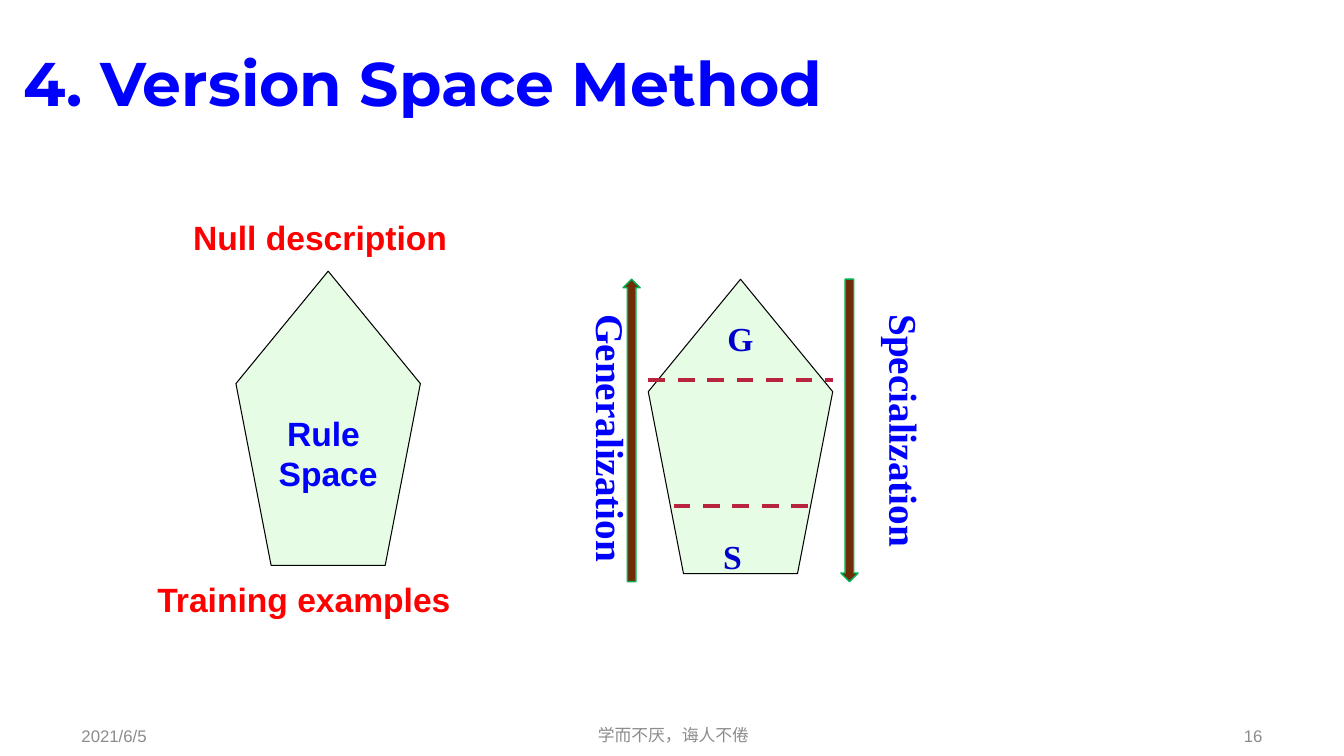
from dataclasses import dataclass

from lxml import etree
from pptx import Presentation
from pptx.dml.color import RGBColor
from pptx.enum.dml import MSO_LINE
from pptx.enum.shapes import MSO_CONNECTOR, MSO_SHAPE
from pptx.enum.text import MSO_ANCHOR, MSO_AUTO_SIZE, PP_ALIGN
from pptx.oxml.ns import qn
from pptx.util import Inches, Pt

LEFT, CENTER, RIGHT = PP_ALIGN.LEFT, PP_ALIGN.CENTER, PP_ALIGN.RIGHT
TOP, MIDDLE = MSO_ANCHOR.TOP, MSO_ANCHOR.MIDDLE
NO_FIT = MSO_AUTO_SIZE.NONE
PENTAGON = MSO_SHAPE.REGULAR_PENTAGON
UP_ARROW, DOWN_ARROW = MSO_SHAPE.UP_ARROW, MSO_SHAPE.DOWN_ARROW
DASH, STRAIGHT = MSO_LINE.DASH, MSO_CONNECTOR.STRAIGHT
TITLE_ONLY = 5


@dataclass(frozen=True)
class Theme:
    title_font: str = "Montserrat"
    sans: str = "Arial"
    serif: str = "Times New Roman"
    blue: str = "0000FF"
    navy: str = "0000CC"
    red: str = "FF0000"
    grey: str = "8C8C8C"
    black: str = "000000"
    rule_fill: str = "E7FCE4"
    version_fill: str = "E6FCE4"
    boundary: str = "B8243D"
    arrow_fill: str = "702C07"
    arrow_line: str = "00B050"
    title_size: int = 44
    direction_size: int = 28
    label_size: int = 24
    footer_size: int = 12


def write(frame, text, *, font, size, color, bold=True, align=LEFT,
          anchor=TOP, wrap=True, spacing=None):
    """Fill a text frame, one paragraph for each line of text."""
    frame.auto_size = NO_FIT
    frame.word_wrap = wrap
    frame.vertical_anchor = anchor
    for number, line in enumerate(text.split("\n")):
        para = frame.add_paragraph() if number else frame.paragraphs[0]
        para.alignment = align
        para.line_spacing = spacing
        span = para.add_run()
        span.text = line
        span.font.name = font
        span.font.size = Pt(size)
        span.font.bold = bold
        span.font.color.rgb = RGBColor.from_string(color)


class SlideBuilder:
    def __init__(self, page, theme):
        self.page = page
        self.theme = theme

    def title(self, text, *place):
        box = self.page.shapes.title
        box.left, box.top, box.width, box.height = map(Inches, place)
        write(box.text_frame, text, font=self.theme.title_font,
              size=self.theme.title_size, color=self.theme.blue,
              anchor=MIDDLE, spacing=0.9)

    def label(self, text, *place, vertical=False, **style):
        box = self.page.shapes.add_textbox(*map(Inches, place))
        write(box.text_frame, text, **style)
        if vertical:
            box.text_frame._txBody.bodyPr.set("vert", "eaVert")

    def shape(self, kind, *place, fill, line, width):
        shape = self.page.shapes.add_shape(kind, *map(Inches, place))
        shape.shadow.inherit = False
        shape.fill.solid()
        shape.fill.fore_color.rgb = RGBColor.from_string(fill)
        shape.line.color.rgb = RGBColor.from_string(line)
        shape.line.width = Pt(width)
        return shape

    def pentagon(self, left, top, fill):
        return self.shape(PENTAGON, left, top, 1.83, 2.92, fill=fill,
                          line=self.theme.black, width=0.75)

    def boundary(self, left, right, y):
        line = self.page.shapes.add_connector(
            STRAIGHT, Inches(left), Inches(y), Inches(right), Inches(y))
        line.line.color.rgb = RGBColor.from_string(self.theme.boundary)
        line.line.width = Pt(3)
        line.line.dash_style = DASH
        etree.SubElement(line._element.spPr, qn("a:effectLst"))

    def direction(self, kind, arrow_left, text, text_left):
        self.shape(kind, arrow_left, 2.77, 0.17, 3, fill=self.theme.arrow_fill,
                   line=self.theme.arrow_line, width=1)
        self.label(text, text_left, 3.02, 0.67, 2.75, vertical=True,
                   font=self.theme.serif, size=self.theme.direction_size,
                   color=self.theme.blue)


def main():
    deck = Presentation()
    deck.slide_width, deck.slide_height = Inches(13.33), Inches(7.5)
    page = deck.slides.add_slide(deck.slide_layouts[TITLE_ONLY])
    theme = Theme()
    builder = SlideBuilder(page, theme)

    builder.title("4. Version Space Method", 0.13, 0.13, 11.5, 1.45)

    # Footer
    for text, left, top, width, align in (
            ("2021/6/5", 0.71, 7.1, 3, LEFT),
            ("学而不厌，诲人不倦", 4.43, 7.09, 4.5, CENTER),
            ("16", 9.62, 7.1, 3, RIGHT)):
        builder.label(text, left, top, width, 0.4, font=theme.sans,
                      size=theme.footer_size, color=theme.grey, bold=False,
                      align=align, anchor=MIDDLE)

    # Rule space with its two extremes
    rule_space = builder.pentagon(2.34, 2.69, theme.rule_fill)
    write(rule_space.text_frame, "Rule \nSpace", font=theme.sans,
          size=theme.label_size, color=theme.blue, align=CENTER,
          anchor=MIDDLE, wrap=False)
    for text, left, top, width in (("Null description", 1.76, 2.1, 2.83),
                                   ("Training examples", 1.43, 5.69, 3.17)):
        builder.label(text, left, top, width, 0.5, font=theme.sans,
                      size=theme.label_size, color=theme.red, align=CENTER)

    # Version space between the G and S boundaries
    builder.pentagon(6.43, 2.77, theme.version_fill)
    for text, left, top, start, end, y in (
            ("G", 7.01, 3.1, 6.43, 8.26, 3.77),
            ("S", 6.93, 5.27, 6.68, 8.01, 5.02)):
        builder.boundary(start, end, y)
        builder.label(text, left, top, 0.67, 0.5, font=theme.serif,
                      size=theme.label_size, color=theme.navy, align=CENTER)

    # Search directions
    builder.direction(UP_ARROW, 6.18, "Generalization", 5.68)
    builder.direction(DOWN_ARROW, 8.34, "Specialization", 8.59)

    deck.save("out.pptx")


if __name__ == "__main__":
    main()
